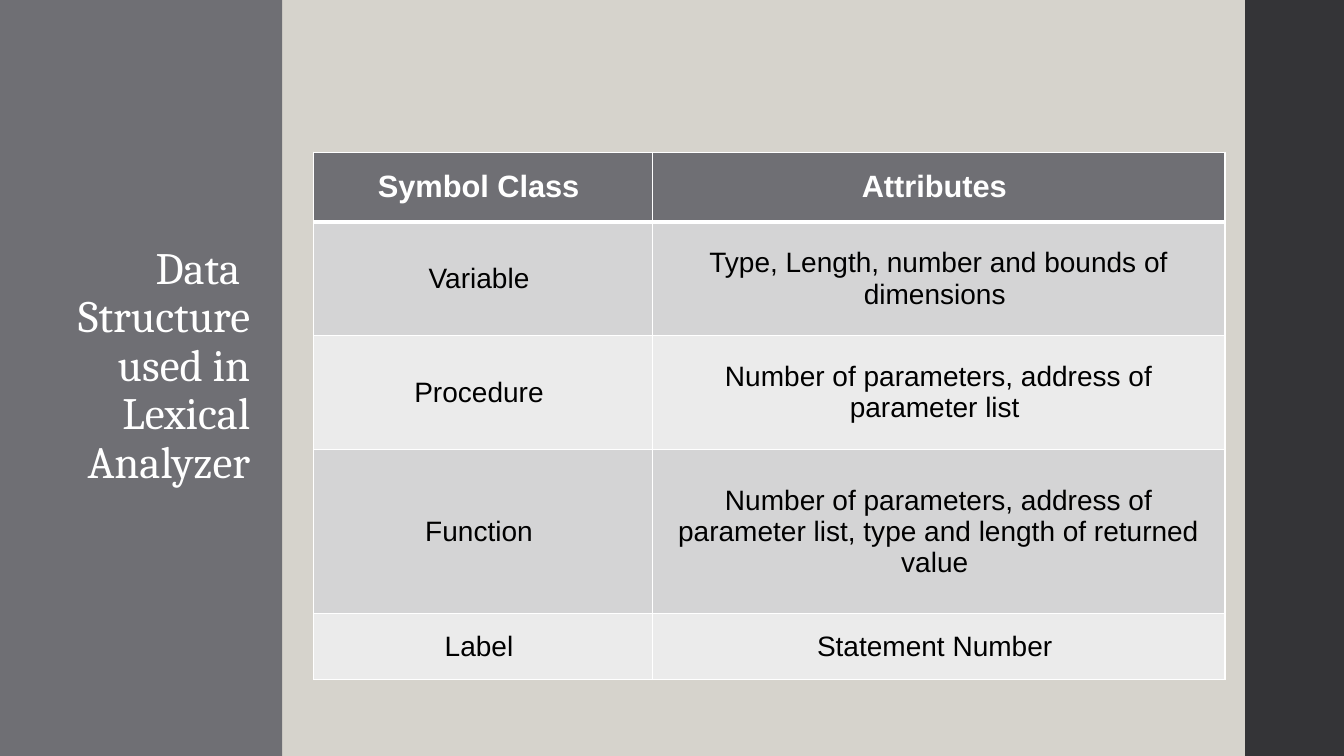
from dataclasses import dataclass

from lxml.etree import SubElement
from pptx import Presentation
from pptx.dml.color import RGBColor
from pptx.enum.shapes import MSO_SHAPE
from pptx.enum.text import MSO_ANCHOR, PP_ALIGN
from pptx.oxml.ns import qn
from pptx.util import Inches, Pt


@dataclass(frozen=True)
class Theme:
    backdrop: str = "D6D3CC"
    accent: str = "6F6F74"
    edge: str = "343437"
    bands: tuple = ("D4D4D5", "EBEBEB")
    light: str = "FFFFFF"
    dark: str = "000000"
    title_font: str = "Cambria"
    body_font: str = "Arial"
    title_size: int = 32
    header_size: int = 22
    body_size: int = 20
    border: int = 1
    header_rule: int = 3


THEME = Theme()
SLIDE_WIDTH, SLIDE_HEIGHT = 13.33, 7.5
SIDEBAR_WIDTH = 2.8
EDGE_LEFT, EDGE_WIDTH = 12.35, 1

TITLE = "Data \vStructure used in Lexical Analyzer"
SYMBOL_ROWS = [
    ("Symbol Class ", "Attributes "),
    ("Variable ", "Type, Length, number and bounds of dimensions "),
    ("Procedure ", "Number of parameters, address of parameter list "),
    ("Function ", "Number of parameters, address of parameter list, "
                  "type and length of returned value "),
    ("Label ", "Statement Number "),
]
COLUMN_WIDTHS = (3.36, 5.68)
ROW_HEIGHTS = (0.69, 1.13, 1.13, 1.63, 0.65)


def style_paragraph(paragraph, font_name, size, color, alignment, bold=False):
    paragraph.alignment = alignment
    font = paragraph.font
    font.name, font.size, font.bold = font_name, Pt(size), bold
    font.color.rgb = RGBColor.from_string(color)


def add_panel(slide, box, color):
    panel = slide.shapes.add_shape(MSO_SHAPE.RECTANGLE, *map(Inches, box))
    panel.shadow.inherit = False
    panel.fill.solid()
    panel.fill.fore_color.rgb = RGBColor.from_string(color)
    panel.line.fill.background()


def add_sidebar(slide, box):
    """Draw the accent panel with the right-aligned title on it."""
    left, top, width, height = box
    add_panel(slide, box, THEME.accent)
    title_box = (left + 0.06, top + 1.71, width * 0.9, height * 0.424)
    title = slide.shapes.add_textbox(*map(Inches, title_box))
    frame = title.text_frame
    frame.word_wrap = True
    frame.vertical_anchor = MSO_ANCHOR.BOTTOM
    paragraph = frame.paragraphs[0]
    paragraph.text = TITLE
    paragraph.line_spacing = 0.9
    style_paragraph(paragraph, THEME.title_font, THEME.title_size,
                    THEME.light, PP_ALIGN.RIGHT)


def set_borders(cell, top, bottom):
    """Give a cell its borders; this must come before its fill."""
    properties = cell._tc.get_or_add_tcPr()
    widths = {"a:lnL": THEME.border, "a:lnR": THEME.border,
              "a:lnT": top, "a:lnB": bottom}
    for tag, width in widths.items():
        line = SubElement(properties, qn(tag), w=str(Pt(width)))
        fill = SubElement(line, qn("a:solidFill"))
        SubElement(fill, qn("a:srgbClr"), val=THEME.light)


def fill_cell(cell, text, row):
    is_header = row == 0
    set_borders(cell,
                top=THEME.header_rule if row == 1 else THEME.border,
                bottom=THEME.header_rule if is_header else THEME.border)
    cell.fill.solid()
    cell.fill.fore_color.rgb = RGBColor.from_string(
        THEME.accent if is_header else THEME.bands[(row - 1) % 2])
    cell.vertical_anchor = MSO_ANCHOR.MIDDLE
    paragraph = cell.text_frame.paragraphs[0]
    paragraph.text = text
    style_paragraph(paragraph, THEME.body_font,
                    THEME.header_size if is_header else THEME.body_size,
                    THEME.light if is_header else THEME.dark,
                    PP_ALIGN.CENTER, is_header)


def add_symbol_table(slide, box):
    table = slide.shapes.add_table(len(SYMBOL_ROWS), len(COLUMN_WIDTHS),
                                   *map(Inches, box)).table
    for column, width in zip(table.columns, COLUMN_WIDTHS):
        column.width = Inches(width)
    for row, height in zip(table.rows, ROW_HEIGHTS):
        row.height = Inches(height)
    for row, texts in enumerate(SYMBOL_ROWS):
        for column, text in enumerate(texts):
            fill_cell(table.cell(row, column), text, row)


def main():
    presentation = Presentation()
    presentation.slide_width = Inches(SLIDE_WIDTH)
    presentation.slide_height = Inches(SLIDE_HEIGHT)
    slide = presentation.slides.add_slide(presentation.slide_layouts[6])
    slide.background.fill.solid()
    slide.background.fill.fore_color.rgb = RGBColor.from_string(THEME.backdrop)

    add_panel(slide, (0, 0, SLIDE_WIDTH, SLIDE_HEIGHT), THEME.backdrop)
    add_sidebar(slide, (0, 0, SIDEBAR_WIDTH, SLIDE_HEIGHT))
    add_panel(slide, (EDGE_LEFT, 0, EDGE_WIDTH, SLIDE_HEIGHT), THEME.edge)
    add_symbol_table(slide, (3.11, 1.51, sum(COLUMN_WIDTHS), sum(ROW_HEIGHTS)))
    presentation.save("out.pptx")


if __name__ == "__main__":
    main()
